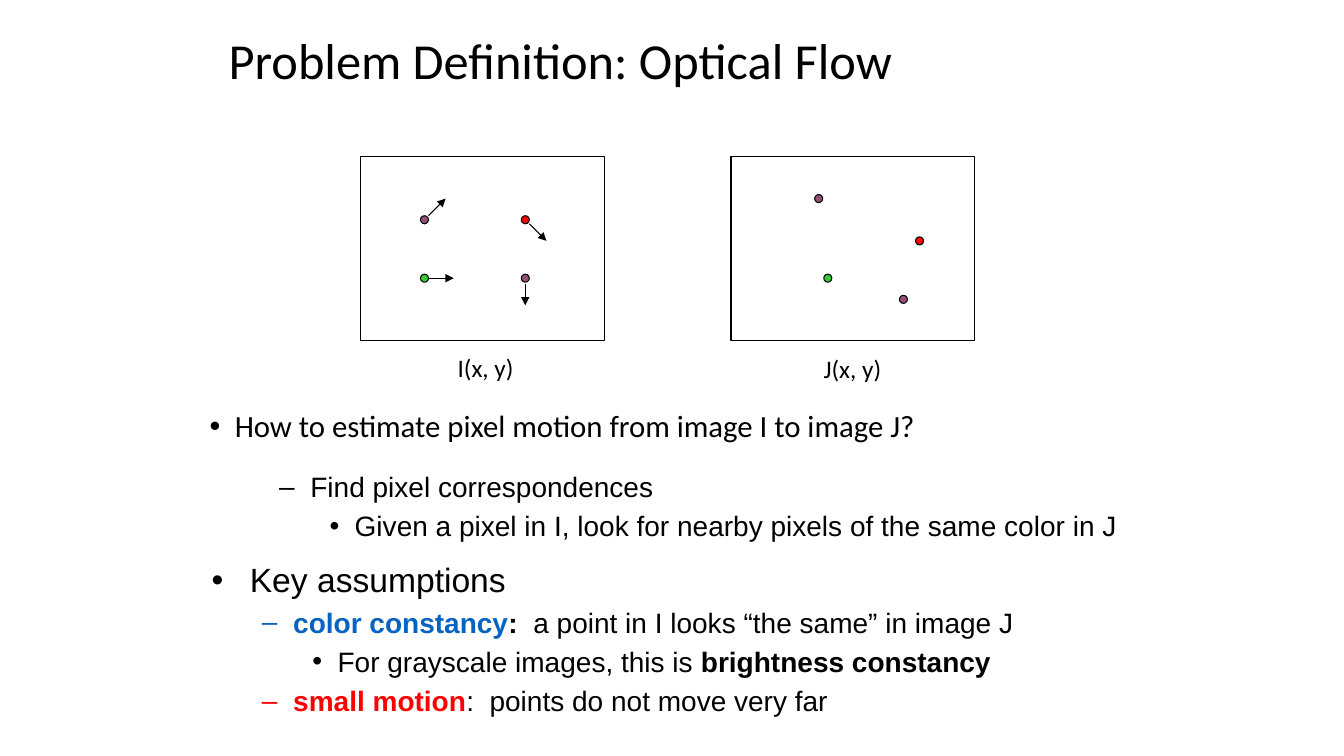
import pptx
import pptx.dml.color
import pptx.enum.dml
import pptx.enum.shapes
import pptx.enum.text
import pptx.oxml.ns
import pptx.util
from lxml import etree

Inches = pptx.util.Inches
Pt = pptx.util.Pt
qn = pptx.oxml.ns.qn

COLORS = {
    "ink": "000000",
    "paper": "FFFFFF",
    "plum": "954F72",
    "red": "FF0000",
    "green": "33CC33",
    "blue": "0563C1",
}
DOT_SIZE = 0.08
FRAME_TOP, FRAME_WIDTH, FRAME_HEIGHT = 1.55, 2.42, 1.83

# Left edge of each frame, then its pixels as (left, top, colour).
FRAMES = [
    (3.58, [(4.17, 2.14, "plum"), (5.17, 2.14, "red"),
            (4.17, 2.72, "green"), (5.17, 2.72, "plum")]),
    (7.25, [(8.08, 1.93, "plum"), (9.08, 2.35, "red"),
            (8.17, 2.72, "green"), (8.92, 2.93, "plum")]),
]
MOTIONS = [
    (4.25, 2.14, 4.42, 1.97),
    (4.25, 2.76, 4.5, 2.76),
    (5.25, 2.22, 5.42, 2.39),
    (5.21, 2.82, 5.21, 3.03),
]

# Outline level: bullet, left margin, hanging indent, text size.
LEVELS = [("•", 0.38, 0.38, 24), ("–", 0.81, 0.31, 20), ("•", 1.25, 0.25, 20)]

# Paragraphs as (level, runs); a run is (text, colour, bold).
CORRESPONDENCE = [
    (1, [("Find pixel correspondences", "ink", False)]),
    (2, [("Given a pixel in I, look for nearby pixels of the same color in J",
          "ink", False)]),
]
ASSUMPTIONS = [
    (0, [("Key assumptions", "ink", False)]),
    (1, [("color constancy", "blue", True), (":  ", "ink", True),
         ("a point in I looks “the same” in image J", "ink", False)]),
    (2, [("For grayscale images, this is ", "ink", False),
         ("brightness constancy", "ink", True)]),
    (1, [("small motion", "red", True),
         (":  points do not move very far", "ink", False)]),
]


def rgb(name):
    """Return the palette colour with this name."""
    return pptx.dml.color.RGBColor.from_string(COLORS[name])


def add_run(paragraph, text, size=18, font="Calibri", color="ink", bold=False):
    """Append formatted text to a paragraph."""
    run = paragraph.add_run()
    run.text = text
    run.font.size = Pt(size)
    run.font.name = font
    run.font.bold = bold
    run.font.color.rgb = rgb(color)


def add_frame(slide, left, top, width, height, wrap=True):
    """Add an empty text box and return its text frame."""
    frame = slide.shapes.add_textbox(
        Inches(left), Inches(top), Inches(width), Inches(height)).text_frame
    frame.word_wrap = wrap
    return frame


def set_bullet(paragraph, mark, margin, hanging, percent_before=None):
    """Give a paragraph a hanging bullet and, if asked, relative space before."""
    props = paragraph._p.get_or_add_pPr()
    props.set("marL", str(Inches(margin)))
    props.set("indent", str(-Inches(hanging)))
    if percent_before is not None:
        before = etree.SubElement(props, qn("a:spcBef"))
        etree.SubElement(before, qn("a:spcPct"), val=str(percent_before * 1000))
    etree.SubElement(props, qn("a:buFont"), typeface="Arial")
    etree.SubElement(props, qn("a:buChar"), char=mark)


def add_outline(slide, box, paragraphs):
    """Add a bulleted outline in a text box."""
    frame = add_frame(slide, *box)
    for index, (level, runs) in enumerate(paragraphs):
        paragraph = frame.add_paragraph() if index else frame.paragraphs[0]
        paragraph.level = level
        mark, margin, hanging, size = LEVELS[level]
        set_bullet(paragraph, mark, margin, hanging, percent_before=20)
        for text, color, bold in runs:
            add_run(paragraph, text, size=size, font="Arial", color=color, bold=bold)


def add_outlined(slide, kind, left, top, width, height, fill):
    """Add a filled preset shape with a thin black outline."""
    shape = slide.shapes.add_shape(
        kind, Inches(left), Inches(top), Inches(width), Inches(height))
    shape.shadow.inherit = False
    shape.fill.solid()
    shape.fill.fore_color.rgb = rgb(fill)
    shape.line.color.rgb = rgb("ink")
    shape.line.width = Pt(0.75)


def add_image_frame(slide, left, pixels):
    """Add one image frame with its coloured pixels."""
    kinds = pptx.enum.shapes.MSO_SHAPE
    add_outlined(slide, kinds.RECTANGLE, left, FRAME_TOP,
                 FRAME_WIDTH, FRAME_HEIGHT, "paper")
    for x, y, color in pixels:
        add_outlined(slide, kinds.OVAL, x, y, DOT_SIZE, DOT_SIZE, color)


def add_motion(group, x1, y1, x2, y2):
    """Add an arrow showing where a pixel moves."""
    arrow = group.shapes.add_connector(
        pptx.enum.shapes.MSO_CONNECTOR.STRAIGHT,
        Inches(x1), Inches(y1), Inches(x2), Inches(y2))
    arrow.line.color.rgb = rgb("ink")
    arrow.line.width = Pt(0.75)
    etree.SubElement(arrow.line._get_or_add_ln(), qn("a:tailEnd"), type="triangle")
    etree.SubElement(arrow._element.spPr, qn("a:effectLst"))


def add_caption(slide, text, left, top, width):
    """Add the label under an image frame."""
    frame = add_frame(slide, left, top, width, 0.4, wrap=False)
    frame.auto_size = pptx.enum.text.MSO_AUTO_SIZE.SHAPE_TO_FIT_TEXT
    add_run(frame.paragraphs[0], text)


def main():
    """Build the optical flow slide."""
    deck = pptx.Presentation()
    deck.slide_width, deck.slide_height = Inches(13.33), Inches(7.5)
    slide = deck.slides.add_slide(deck.slide_layouts[6])

    title = add_frame(slide, 2.17, 0, 9, 1.25)
    title.vertical_anchor = pptx.enum.text.MSO_ANCHOR.MIDDLE
    title.paragraphs[0].line_spacing = 0.9
    add_run(title.paragraphs[0], "Problem Definition: Optical Flow", size=36)

    question = add_frame(slide, 1.98, 4.03, 9.48, 0.52).paragraphs[0]
    question.line_spacing = 0.9
    question.space_before = Pt(10)
    set_bullet(question, "•", 0.25, 0.25)
    add_run(question, "How to estimate pixel motion from image I to image J?", size=22)

    for left, pixels in FRAMES:
        add_image_frame(slide, left, pixels)
    motions = slide.shapes.add_group_shape()
    for motion in MOTIONS:
        add_motion(motions, *motion)

    add_outline(slide, (2.17, 4.61, 9.26, 1.81), CORRESPONDENCE)
    add_outline(slide, (2, 5.5, 8.5, 2), ASSUMPTIONS)
    add_caption(slide, "I(x, y)", 4.44, 3.45, 0.76)
    add_caption(slide, "J(x, y)", 8.07, 3.46, 0.78)

    deck.save("out.pptx")


main()
